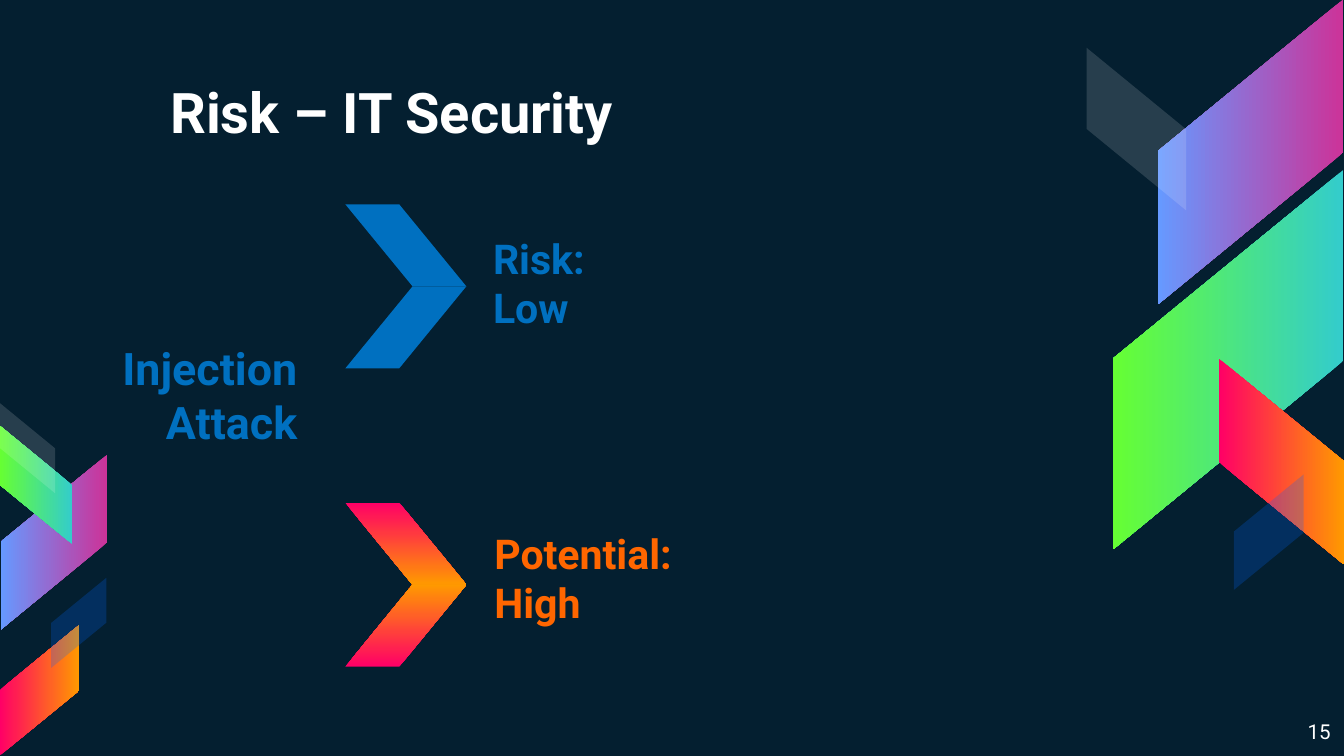
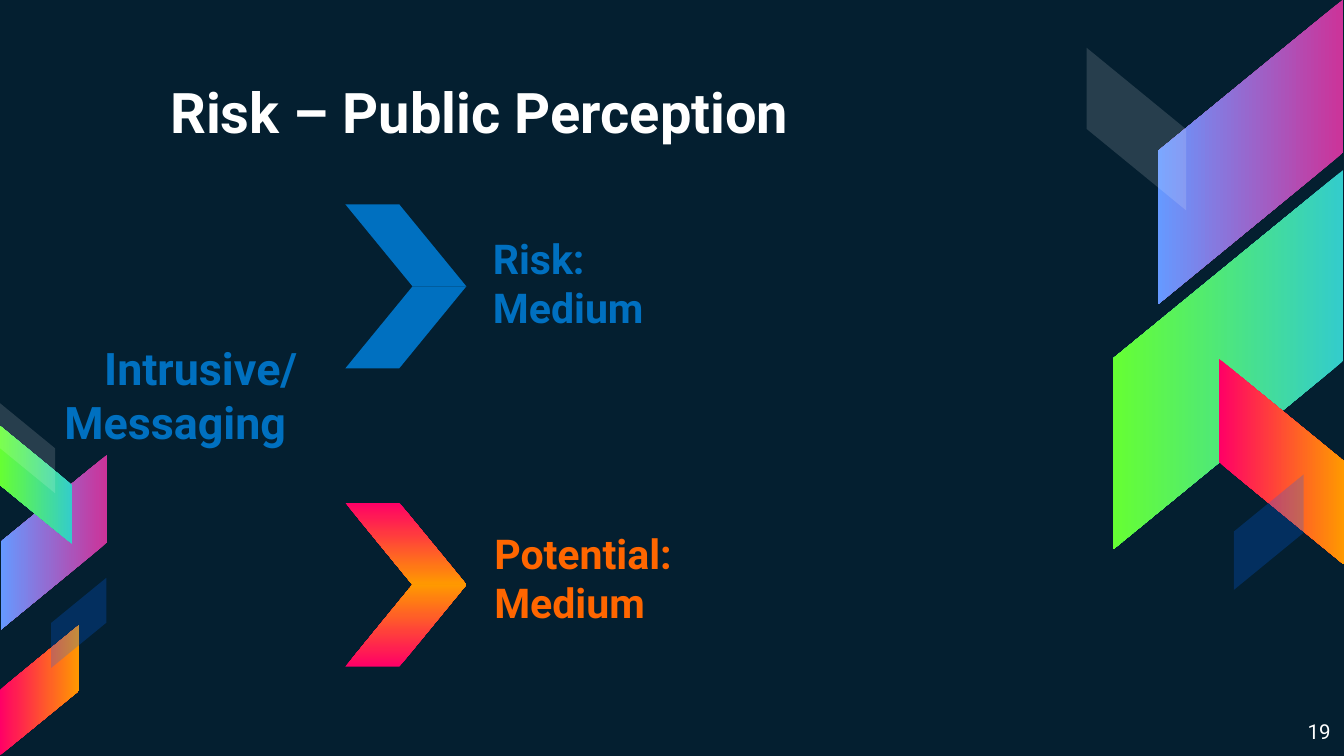
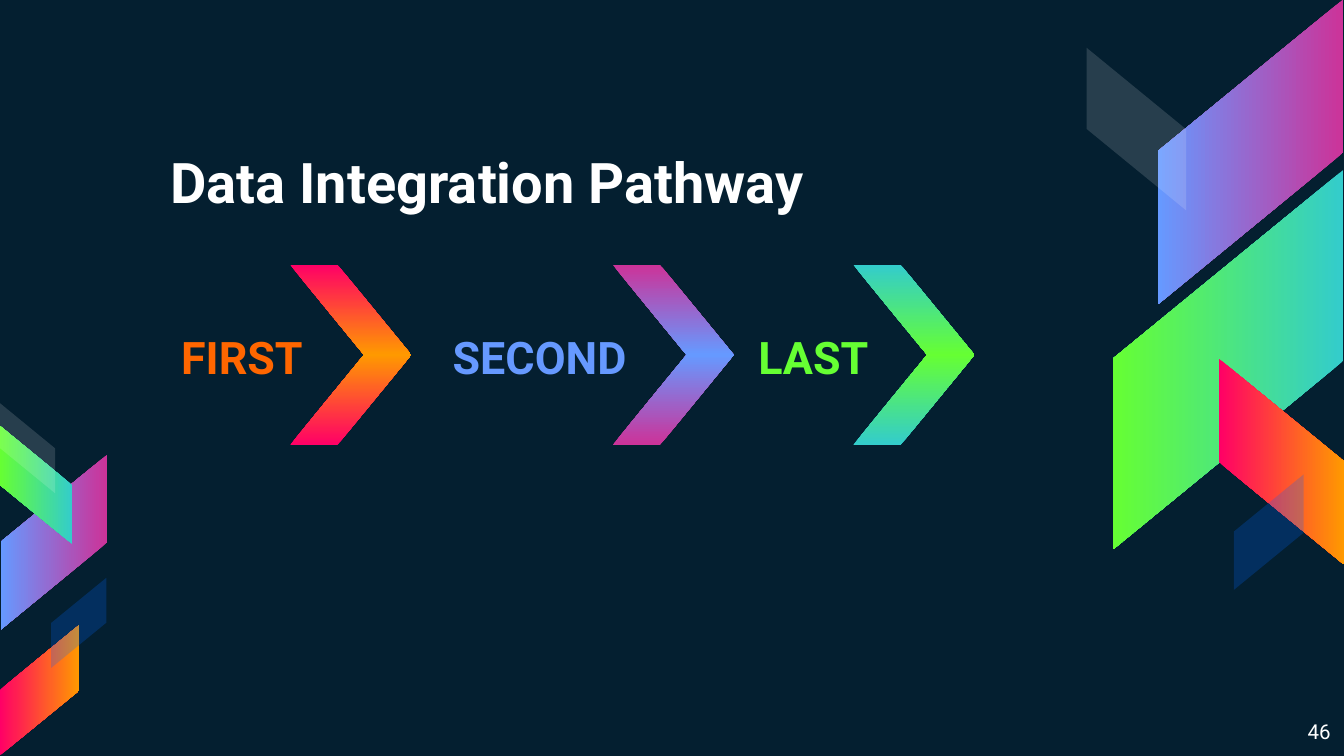
from pptx import Presentation
from pptx.dml.color import RGBColor
from pptx.enum.shapes import MSO_SHAPE
from pptx.enum.text import MSO_ANCHOR, PP_ALIGN
from pptx.oxml.ns import qn
from pptx.util import Inches, Pt
from lxml import etree

SLANT = MSO_SHAPE.PARALLELOGRAM
LEFT, RIGHT = PP_ALIGN.LEFT, PP_ALIGN.RIGHT
TOP, MIDDLE, BOTTOM = MSO_ANCHOR.TOP, MSO_ANCHOR.MIDDLE, MSO_ANCHOR.BOTTOM

FONT = "Roboto"
COLORS = {
    "night": "041F30", "white": "FFFFFF", "blue": "0070C0", "navy": "0066FF",
    "pink": "FF0066", "amber": "FF9900", "orange": "FF6600",
    "plum": "CC3399", "sky": "6699FF", "teal": "33CCCC", "lime": "66FF33",
}
# A fill is one colour, a colour with its opacity, or two gradient colours.
FIRE = ("pink", "amber")
DUSK = ("plum", "sky")
LEAF = ("teal", "lime")
GLASS = ("white", 14)
DEEP = ("navy", 23)

# Each band: left, top, width, height, rotation, flipped, fill
RIGHT_BANDS = [
    (8.17, 0.44, 2.27, 1.38, 90, True, DUSK),
    (7.73, 1.82, 2.82, 1.71, 90, True, LEAF),
    (8.77, 2.97, 1.53, 0.93, 270, False, FIRE),
    (7.85, 0.59, 1.21, 0.74, 270, False, GLASS),
    (9.01, 3.7, 0.86, 0.52, 270, True, DEEP),
]
LEFT_BANDS = [
    (-0.25, 3.64, 1.3, 0.79, 90, True, DUSK),
    (-0.17, 3.34, 0.88, 0.54, 90, False, LEAF),
    (-0.19, 4.84, 0.97, 0.59, 270, True, FIRE),
    (-0.13, 3.13, 0.67, 0.41, 270, False, GLASS),
    (0.25, 4.43, 0.67, 0.41, 270, True, DEEP),
]

# Each risk: title, threat, risk, width of the risk text, potential, number
RISKS = [
    ("Risk – IT Security", "Injection Attack", "Low", 1.28, "High", 15),
    ("Risk – Public Perception", "Intrusive/ Messaging ", "Medium", 1.37,
     "Medium", 19),
]
# Each step: word, text colour, text left, text width, arrow left, arrow fill
STEPS = [
    ("FIRST", "orange", 0.7, 1.65, 2.16, FIRE),
    ("SECOND", "sky", 2.71, 2.05, 4.56, DUSK),
    ("LAST", "lime", 4.91, 1.65, 6.35, LEAF),
]


def rgb(name):
    return RGBColor.from_string(COLORS[name])


def paint(shape, look):
    fill = shape.fill
    if isinstance(look, str):
        fill.solid()
        fill.fore_color.rgb = rgb(look)
    elif isinstance(look[1], str):
        fill.gradient()
        fill.gradient_angle = 270
        for stop, name in zip(fill.gradient_stops, look):
            stop.color.rgb = rgb(name)
    else:
        paint(shape, look[0])
        color = shape._element.spPr.find(".//" + qn("a:srgbClr"))
        etree.SubElement(color, qn("a:alpha"), val=str(look[1] * 1000))


def add_band(group, left, top, width, height, turn, flip, look):
    band = group.shapes.add_shape(
        SLANT, Inches(left), Inches(top), Inches(width), Inches(height))
    band.adjustments[0] = 0.819
    band.rotation = turn
    if flip:
        band._element.spPr.xfrm.set("flipH", "1")
    band.shadow.inherit = False
    band.line.fill.background()
    paint(band, look)


def add_arrow(slide, left, top, half, look):
    """Chevron made of two mirrored slanted bands, each of height half."""
    group = slide.shapes.add_group_shape()
    add_band(group, left, top, 0.9, half, 0, True, look)
    add_band(group, left, top + half, 0.9, half, 180, False, look)


def add_text(slide, text, left, top, width, height, size=24, color="white",
             bold=True, align=LEFT, anchor=MIDDLE):
    box = slide.shapes.add_textbox(
        Inches(left), Inches(top), Inches(width), Inches(height))
    frame = box.text_frame
    frame.word_wrap = True
    frame.vertical_anchor = anchor
    frame.margin_left = frame.margin_right = Inches(0.1)
    frame.margin_top = frame.margin_bottom = Inches(0.1)
    frame.text = text
    for para in frame.paragraphs:
        para.alignment = align
        for run in para.runs:
            font = run.font
            font.name, font.size, font.bold = FONT, Pt(size), bold
            font.color.rgb = rgb(color)


def dress(layout, slide):
    """Give the layout its backdrop; the bands are drawn on slide, then moved."""
    layout.background.fill.solid()
    layout.background.fill.fore_color.rgb = rgb("night")
    for bands in (RIGHT_BANDS, LEFT_BANDS):
        group = slide.shapes.add_group_shape()
        for band in bands:
            add_band(group, *band)
        layout.shapes._spTree.append(group._element)


def add_frame(slide, title, top, number):
    add_text(slide, title, 1.17, top, 6.53, 0.7, size=30, anchor=BOTTOM)
    add_text(slide, str(number), 9.36, 5.26, 0.64, 0.36, size=11, bold=False,
             align=RIGHT, anchor=TOP)


def fill_risk(slide, title, threat, risk, width, gain, number):
    add_frame(slide, title, 0.48, number)
    add_arrow(slide, 2.57, 3.74, 0.61, FIRE)
    add_arrow(slide, 2.57, 1.52, 0.61, "blue")
    add_text(slide, f"Potential:\n{gain}", 3.58, 3.62, 1.84, 1.35,
             size=22, color="orange")
    add_text(slide, threat, 0.26, 2.26, 2.05, 1.35, color="blue", align=RIGHT)
    add_text(slide, f"Risk:\n{risk}", 3.57, 1.43, width, 1.35,
             size=22, color="blue")


def fill_path(slide):
    add_frame(slide, "Data Integration Pathway", 1, 46)
    for word, color, left, width, tip, look in STEPS:
        add_arrow(slide, tip, 1.97, 0.67, look)
        add_text(slide, word, left, 1.98, width, 1.35, color=color, align=RIGHT)


def main():
    prs = Presentation()
    prs.slide_width = Inches(10)
    prs.slide_height = prs.slide_width * 9 // 16
    blank = prs.slide_layouts[6]
    slides = [prs.slides.add_slide(blank) for _ in range(len(RISKS) + 1)]
    dress(blank, slides[0])
    for slide, risk in zip(slides, RISKS):
        fill_risk(slide, *risk)
    fill_path(slides[-1])
    prs.save("out.pptx")


if __name__ == "__main__":
    main()
